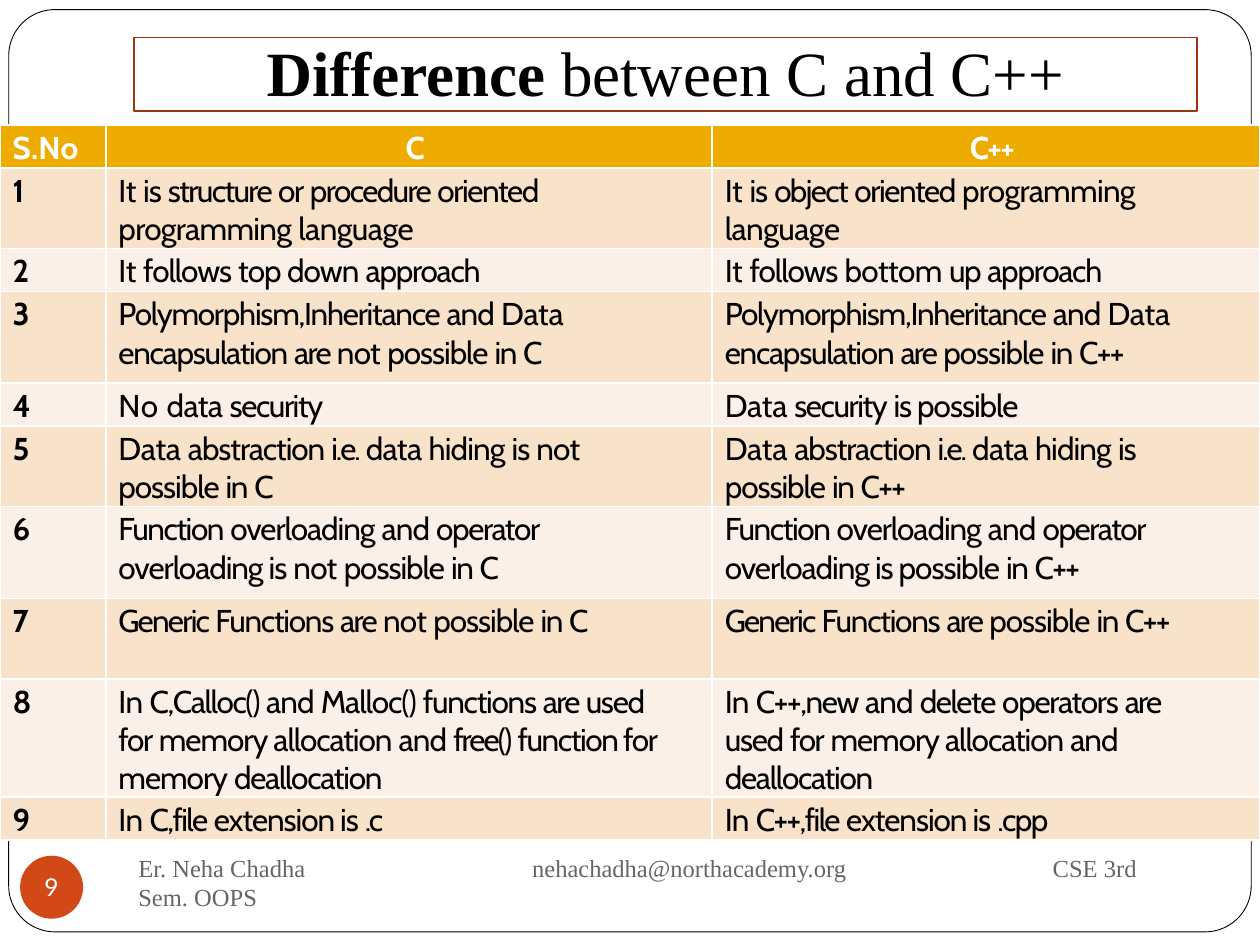
from dataclasses import dataclass
from typing import Any

from lxml.etree import SubElement
from pptx import Presentation
from pptx.dml.color import RGBColor
from pptx.enum.shapes import MSO_SHAPE as Shape
from pptx.enum.text import MSO_ANCHOR as Anchor, PP_ALIGN as Align
from pptx.oxml.ns import qn
from pptx.util import Pt

COLORS = {
    "white": "FFFFFF", "black": "000000", "rust": "9C3511", "badge": "D34817",
    "footer": "696464", "header": "EFAC00", "peach": "F8E2CA", "cream": "FBF0E7",
}
TRACKING_GROUPS = {
    0.4: "No",
    0.1: "S.No",
    0: "1 2 3 4 5 6 7 8 9",
    -0.1: "Data",
    -0.2: "It",
    -0.3: "language bottom data",
    -0.4: "programming not In",
    -0.5: "top down and hiding C",
    -0.7: "approach Polymorphism,Inheritance encapsulation Functions functions "
          "used deallocation operators",
    -0.8: "or oriented up in security Function operator C,Calloc() for function "
          "C++,new delete",
    -0.9: "structure procedure object C++ C,file C++,file .cpp",
    -1: "are Generic",
    -1.1: "free()",
    -1.2: "i.e.",
    -1.4: ".c",
}
TRACKING = {word: gap for gap, words in TRACKING_GROUPS.items() for word in words.split()}
DEFAULT_TRACKING = -0.6

COLUMN_WIDTHS = [60.5, 346.5, 313]
RIGHT_INSETS = [0, 18, 34]
ONE_LINE, TWO_LINES, ROOMY, THREE_LINES = 24.5, 46, 52.5, 67.5
HEADINGS = ("S.No", "C", "C++")
DIFFERENCES = [
    (TWO_LINES, "It is structure or procedure oriented programming language",
     "It is object oriented programming language"),
    (ONE_LINE, "It follows top down approach", "It follows bottom up approach"),
    (ROOMY, "Polymorphism,Inheritance and Data encapsulation are not possible in C",
     "Polymorphism,Inheritance and Data encapsulation are possible in C++"),
    (ONE_LINE, "No data security", "Data security is possible"),
    (TWO_LINES, "Data abstraction i.e. data hiding is not possible in C",
     "Data abstraction i.e. data hiding is possible in C++"),
    (ROOMY, "Function overloading and operator overloading is not possible in C",
     "Function overloading and operator overloading is possible in C++"),
    (TWO_LINES, "Generic Functions are not possible in C",
     "Generic Functions are possible in C++"),
    (THREE_LINES, "In C,Calloc() and Malloc() functions are used for memory allocation "
     "and free() function for memory deallocation",
     "In C++,new and delete operators are used for memory allocation and deallocation"),
    (ONE_LINE, "In C,file extension is .c", "In C++,file extension is .cpp"),
]


def rgb(name):
    return RGBColor.from_string(COLORS[name])


@dataclass
class SlideBuilder:
    page: Any
    title_font: str = "Times New Roman"
    table_font: str = "Cabin"
    badge_font: str = "Lato"
    table_size: float = 18

    def span(self, para, text, font, size, color, bold=False, tracking=None):
        span = para.add_run()
        span.text = text
        span.font.name = font
        span.font.size = Pt(size)
        span.font.bold = bold
        span.font.color.rgb = rgb(color)
        if tracking is not None:
            span.font._element.set("spc", str(round(tracking * 100)))

    def insets(self, target, left=0, top=0, right=0, bottom=0):
        target.margin_left, target.margin_top = Pt(left), Pt(top)
        target.margin_right, target.margin_bottom = Pt(right), Pt(bottom)

    def shape(self, kind, left, top, width, height, fill, line=None, weight=1, corner=None):
        shape = self.page.shapes.add_shape(kind, Pt(left), Pt(top), Pt(width), Pt(height))
        shape.shadow.inherit = False
        shape.fill.solid()
        shape.fill.fore_color.rgb = rgb(fill)
        if line:
            shape.line.color.rgb = rgb(line)
            shape.line.width = Pt(weight)
        else:
            shape.line.fill.background()
        if corner is not None:
            shape.adjustments[0] = corner
        return shape

    def title(self, parts, left, top, width, height):
        box = self.shape(Shape.ROUNDED_RECTANGLE, left, top, width, height,
                         "white", "rust", corner=0)
        frame = box.text_frame
        frame.word_wrap = True
        frame.vertical_anchor = Anchor.MIDDLE
        self.insets(frame, 7.2, 3.6, 7.2, 7.2)
        para = frame.paragraphs[0]
        para.alignment = Align.CENTER
        for text, bold in parts:
            self.span(para, text, self.title_font, 36, "black", bold)

    def badge(self, text, left, top, diameter):
        badge = self.shape(Shape.OVAL, left, top, diameter, diameter, "badge")
        frame = badge.text_frame
        frame.word_wrap = False
        frame.vertical_anchor = Anchor.MIDDLE
        self.insets(frame)
        para = frame.paragraphs[0]
        para.alignment = Align.CENTER
        self.span(para, text, self.badge_font, 14, "white")

    def footer(self, parts, stops, left, top, width, height):
        box = self.page.shapes.add_textbox(Pt(left), Pt(top), Pt(width), Pt(height))
        frame = box.text_frame
        frame.word_wrap = True
        frame.vertical_anchor = Anchor.MIDDLE
        self.insets(frame, 7.2, 3.6, 14, 3.6)
        para = frame.paragraphs[0]
        tabs = SubElement(para._p.get_or_add_pPr(), qn("a:tabLst"))
        for stop in stops:
            SubElement(tabs, qn("a:tab"), pos=str(Pt(stop)), algn="l")
        self.span(para, "\t".join(parts), self.title_font, 14, "footer")

    def cell(self, cell, text, fill, color="black", bold=False, centered=False, right=0):
        self.insets(cell, top=2.2, right=right)
        para = cell.text_frame.paragraphs[0]
        para.space_before = Pt(2.4)
        para._p.get_or_add_pPr().set("marL", str(Pt(7.2)))
        if centered:
            para.alignment = Align.CENTER
        words = text.split()
        for index, word in enumerate(words):
            ending = " " if index < len(words) - 1 else ""
            self.span(para, word + ending, self.table_font, self.table_size, color, bold,
                      TRACKING.get(word, DEFAULT_TRACKING))
        properties = cell._tc.get_or_add_tcPr()
        for side in ("a:lnL", "a:lnR", "a:lnT", "a:lnB"):
            border = SubElement(properties, qn(side), w=str(Pt(1)))
            paint = SubElement(border, qn("a:solidFill"))
            SubElement(paint, qn("a:srgbClr"), val=COLORS["white"])
        cell.fill.solid()
        cell.fill.fore_color.rgb = rgb(fill)

    def table(self, left, top):
        heights = [ONE_LINE] + [height for height, *_ in DIFFERENCES]
        table = self.page.shapes.add_table(
            len(heights), len(COLUMN_WIDTHS), Pt(left), Pt(top),
            Pt(sum(COLUMN_WIDTHS)), Pt(sum(heights))).table
        for column, width in zip(table.columns, COLUMN_WIDTHS):
            column.width = Pt(width)
        for row, height in zip(table.rows, heights):
            row.height = Pt(height)
        for column, heading in enumerate(HEADINGS):
            self.cell(table.cell(0, column), heading, "header", "white", True, column > 0)
        for number, (_, *texts) in enumerate(DIFFERENCES, 1):
            fill = "peach" if number % 2 else "cream"
            for column, text in enumerate([str(number), *texts]):
                self.cell(table.cell(number, column), text, fill, bold=column == 0,
                          right=RIGHT_INSETS[column])


def main():
    deck = Presentation()
    deck.slide_width, deck.slide_height = Pt(720), Pt(540)
    builder = SlideBuilder(deck.slides.add_slide(deck.slide_layouts[6]))
    builder.shape(Shape.ROUNDED_RECTANGLE, 5, 5.5, 710, 527, "white", "black", 0.5, 0.05)
    builder.title([("Difference", True), (" between C and C++", False)], 76.5, 21.5, 607.5, 42)
    builder.footer(["Er. Neha Chadha", "nehachadha@northacademy.org", "CSE 3rd Sem. OOPS"],
                   [225, 522.5], 72, 486, 612, 36)
    builder.badge("9", 11.5, 489, 36)
    builder.table(0, 71.5)
    deck.save("out.pptx")


if __name__ == "__main__":
    main()
